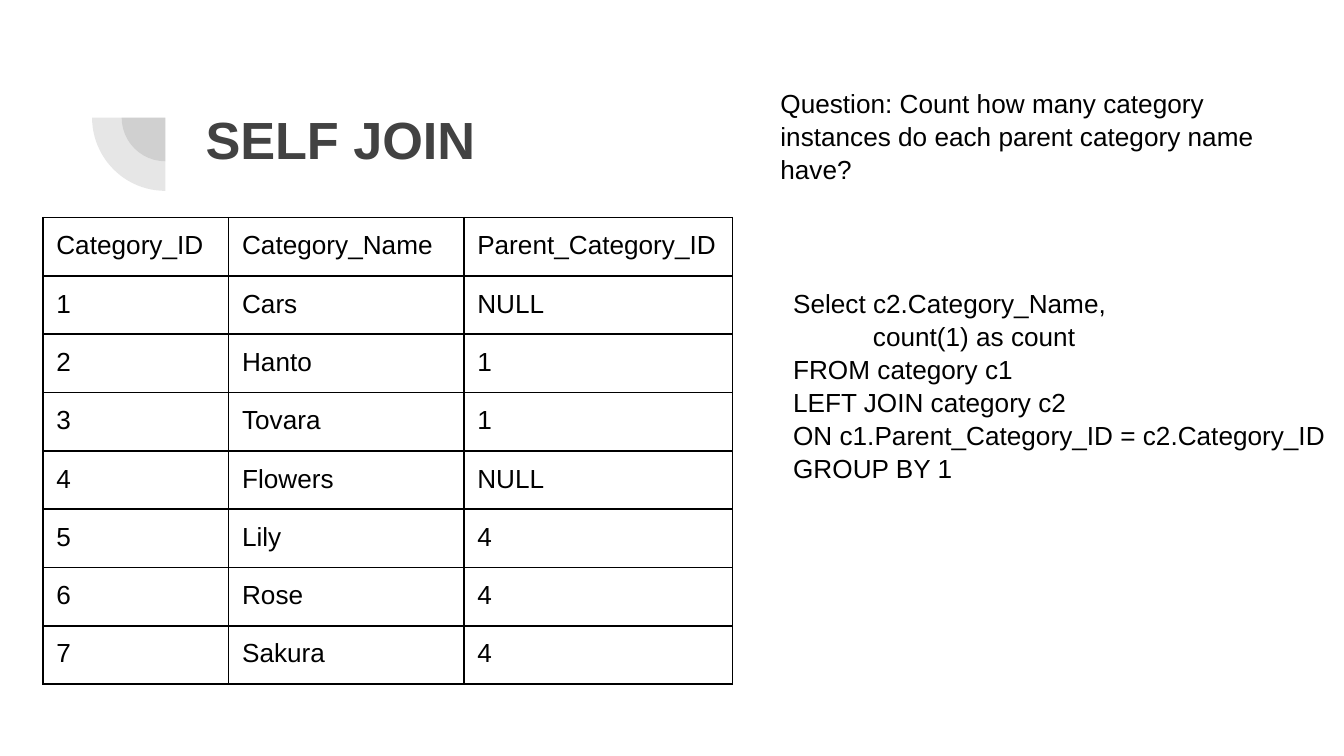
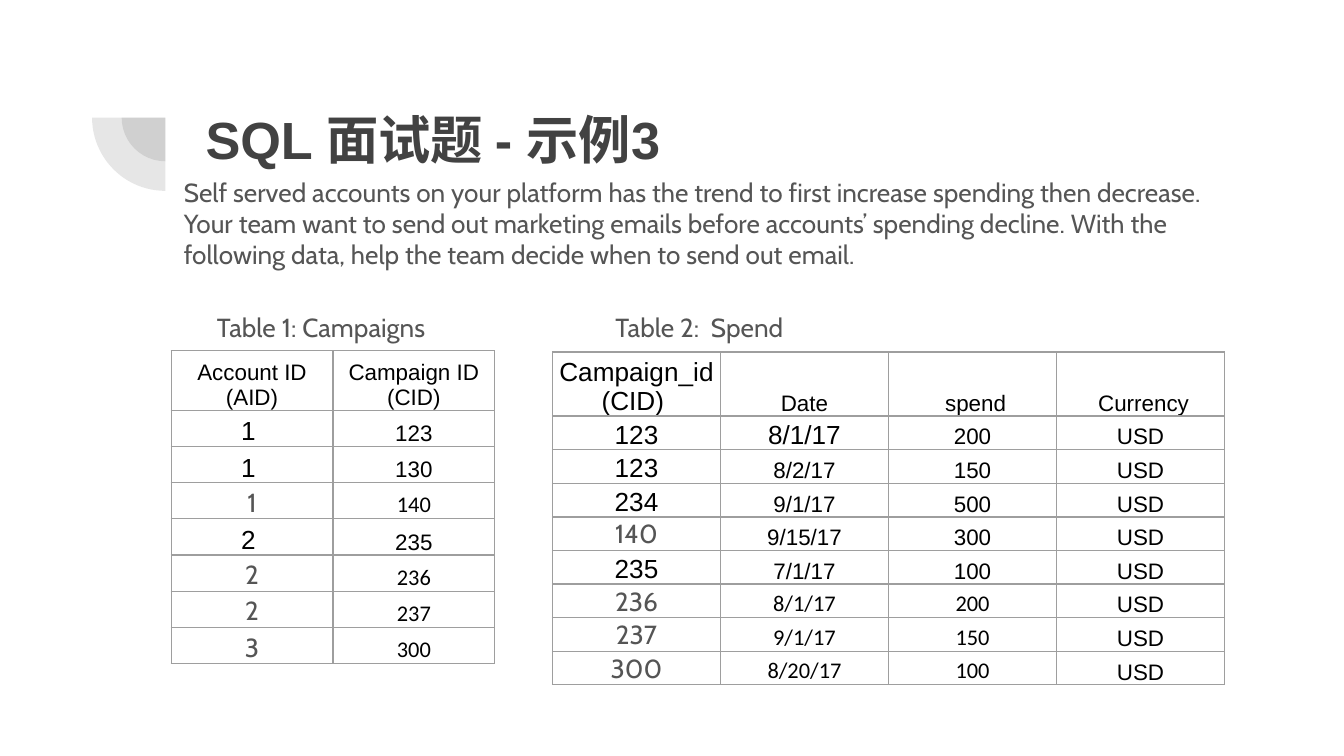
from dataclasses import dataclass

from lxml.etree import SubElement
from pptx import Presentation
from pptx.dml.color import RGBColor
from pptx.enum.shapes import MSO_SHAPE
from pptx.enum.text import MSO_ANCHOR, PP_ALIGN
from pptx.oxml.ns import qn
from pptx.slide import Slide
from pptx.table import _Cell
from pptx.text.text import TextFrame
from pptx.util import Pt

DARK, GREY, BLACK, RULE = "424242", "555555", "000000", "9E9E9E"


@dataclass(frozen=True)
class TextStyle:
    font: str
    size: float
    color: str
    bold: bool = False
    line_spacing: float | None = None


@dataclass(frozen=True)
class Box:
    left: float
    top: float
    width: float
    height: float
    inset_x: float = 7.2
    inset_y: float = 3.6
    wrap: bool = True


@dataclass(frozen=True)
class TableLook:
    border: str
    border_width: float
    insets: tuple[float, float, float, float]  # left, top, right, bottom
    align: PP_ALIGN
    anchor: MSO_ANCHOR


@dataclass(frozen=True)
class Row:
    values: tuple[str, ...]
    styles: tuple[TextStyle, ...]


TITLE = TextStyle("Arial", 28, DARK, bold=True, line_spacing=1.1)
PLAIN = TextStyle("Arial", 14, BLACK, line_spacing=1.05)
NOTE = TextStyle("Cabin", 14, GREY)
ARIAL_14 = TextStyle("Arial", 14, BLACK)
ARIAL_12 = TextStyle("Arial", 12, BLACK)
CALIBRI_12 = TextStyle("Calibri", 12, BLACK)

GRID = TableLook(BLACK, 1, (7.2, 7.2, 7.2, 7.2), PP_ALIGN.LEFT, MSO_ANCHOR.TOP)
SHEET = TableLook(RULE, 0.75, (0.7, 0.7, 0.7, 0), PP_ALIGN.CENTER, MSO_ANCHOR.BOTTOM)

CATEGORIES = (
    ("Category_ID", "Category_Name", "Parent_Category_ID"),
    ("1", "Cars", "NULL"),
    ("2", "Hanto", "1"),
    ("3", "Tovara", "1"),
    ("4", "Flowers", "NULL"),
    ("5", "Lily", "4"),
    ("6", "Rose", "4"),
    ("7", "Sakura", "4"),
)

QUERY = """Select c2.Category_Name,
           count(1) as count
FROM category c1
LEFT JOIN category c2
ON c1.Parent_Category_ID = c2.Category_ID
GROUP BY 1"""

FIRST_CAMPAIGN = (ARIAL_14, ARIAL_12)
ADDED_CAMPAIGN = (NOTE, CALIBRI_12)
CAMPAIGNS = (
    Row(("Account ID (AID)", "Campaign ID (CID)"), (ARIAL_12, ARIAL_12)),
    Row(("1 ", "123"), FIRST_CAMPAIGN),
    Row(("1 ", "130"), FIRST_CAMPAIGN),
    Row(("1", "140"), ADDED_CAMPAIGN),
    Row(("2 ", "235"), FIRST_CAMPAIGN),
    Row(("2", "236"), ADDED_CAMPAIGN),
    Row(("2", "237"), ADDED_CAMPAIGN),
    Row(("3", "300"), ADDED_CAMPAIGN),
)

FIRST_SPEND = (ARIAL_14, ARIAL_12, ARIAL_12, ARIAL_12)
ADDED_SPEND = (NOTE, CALIBRI_12, CALIBRI_12, ARIAL_12)
SPEND = (
    Row(("Campaign_id (CID) ", " Date ", " spend", " Currency"), FIRST_SPEND),
    Row(("123", "8/1/17", "200", "USD"), (ARIAL_14, ARIAL_14, ARIAL_12, ARIAL_12)),
    Row(("123", "8/2/17", "150", "USD"), FIRST_SPEND),
    Row(("234", "9/1/17", "500", "USD"), FIRST_SPEND),
    Row(("140", "9/15/17", "300", "USD"), (NOTE, ARIAL_12, ARIAL_12, ARIAL_12)),
    Row(("235", "7/1/17", "100", "USD"), FIRST_SPEND),
    Row(("236", "8/1/17", "200", "USD"), ADDED_SPEND),
    Row(("237", "9/1/17", "150", "USD"), ADDED_SPEND),
    Row(("300", "8/20/17", "100", "USD"), ADDED_SPEND),
)


def rgb(color: str) -> RGBColor:
    return RGBColor.from_string(color)


def write(frame: TextFrame, text: str, style: TextStyle, align: PP_ALIGN = PP_ALIGN.LEFT) -> None:
    frame.text = text
    for paragraph in frame.paragraphs:
        paragraph.alignment = align
        if style.line_spacing:
            paragraph.line_spacing = style.line_spacing
        font = paragraph.font
        font.name, font.size, font.bold = style.font, Pt(style.size), style.bold
        font.color.rgb = rgb(style.color)


def add_text(slide: Slide, box: Box, text: str, style: TextStyle) -> None:
    shape = slide.shapes.add_textbox(Pt(box.left), Pt(box.top), Pt(box.width), Pt(box.height))
    frame = shape.text_frame
    frame.word_wrap = box.wrap
    frame.margin_left = frame.margin_right = Pt(box.inset_x)
    frame.margin_top = frame.margin_bottom = Pt(box.inset_y)
    write(frame, text, style)


def add_quarter_disc(slide: Slide, center_x: float, center_y: float, diameter: float) -> None:
    """Draw the translucent lower left quarter of a disc."""
    shape = slide.shapes.add_shape(
        MSO_SHAPE.PIE, Pt(center_x - diameter / 2), Pt(center_y - diameter / 2), Pt(diameter), Pt(diameter)
    )
    shape.adjustments[0], shape.adjustments[1] = 108, 162
    shape.rotation = 270
    shape.shadow.inherit = False
    shape.line.fill.background()
    shape.fill.solid()
    shape.fill.fore_color.rgb = rgb(DARK)
    color = next(shape.element.spPr.iter(qn("a:srgbClr")))
    SubElement(color, qn("a:alpha"), val="13000")


def add_titled_slide(presentation: Presentation, title: str) -> Slide:
    slide = presentation.slides.add_slide(presentation.slide_layouts[6])
    for diameter in (46.8, 78.5):
        add_quarter_disc(slide, 88.6, 63, diameter)
    add_text(slide, Box(103, 46.8, 553.7, 42, inset_y=7.2), title, TITLE)
    return slide


def style_cell(cell: _Cell, look: TableLook) -> None:
    cell.margin_left, cell.margin_top, cell.margin_right, cell.margin_bottom = map(Pt, look.insets)
    cell.vertical_anchor = look.anchor
    properties = cell._tc.get_or_add_tcPr()
    for side in ("lnL", "lnR", "lnT", "lnB"):
        line = SubElement(properties, qn(f"a:{side}"), w=str(Pt(look.border_width)))
        SubElement(SubElement(line, qn("a:solidFill")), qn("a:srgbClr"), val=look.border)
    cell.fill.background()


def add_data_table(
    slide: Slide,
    left: float,
    top: float,
    widths: tuple[float, ...],
    header_height: float,
    row_height: float,
    rows: tuple[Row, ...],
    look: TableLook,
) -> None:
    height = header_height + row_height * (len(rows) - 1)
    frame = slide.shapes.add_table(len(rows), len(widths), Pt(left), Pt(top), Pt(sum(widths)), Pt(height))
    table = frame.table
    table.first_row = table.horz_banding = False
    for column, width in zip(table.columns, widths):
        column.width = Pt(width)
    for index, row in enumerate(rows):
        table.rows[index].height = Pt(row_height if index else header_height)
        for column_index, (value, style) in enumerate(zip(row.values, row.styles)):
            cell = table.cell(index, column_index)
            style_cell(cell, look)
            write(cell.text_frame, value, style, look.align)


def build_self_join(presentation: Presentation) -> None:
    slide = add_titled_slide(presentation, "SELF JOIN")
    question = "Question: Count how many category instances do each parent category name have?"
    add_text(slide, Box(411, 39, 292, 54, inset_y=7.2), question, PLAIN)
    rows = tuple(Row(values, (ARIAL_14,) * len(values)) for values in CATEGORIES)
    add_data_table(slide, 23, 116.6, (99.5, 126, 144), 30.1, 30.1, rows, GRID)
    add_text(slide, Box(417.8, 149.8, 309, 126, wrap=False), QUERY, PLAIN)


def build_interview_example(presentation: Presentation) -> None:
    slide = add_titled_slide(presentation, "SQL 面试题 - 示例3")
    add_data_table(slide, 91.7, 187.9, (86.7, 86.7), 31.9, 19.4, CAMPAIGNS, SHEET)
    add_text(slide, Box(109.2, 163.4, 139, 24.5, wrap=False), "Table 1: Campaigns", NOTE)
    add_text(slide, Box(322.6, 163.4, 114, 24.5, wrap=False), "Table 2:  Spend", NOTE)
    add_data_table(slide, 296, 188.6, (90, 90, 90, 90), 34.3, 18, SPEND, SHEET)
    task = (
        "Self served accounts on your platform has the trend to first increase spending then decrease. "
        "Your team want to send out marketing emails before accounts’ spending decline. "
        "With the following data, help the team decide when to send out email."
    )
    add_text(slide, Box(91.4, 90.7, 564.5, 58.3), task, NOTE)


def main() -> None:
    presentation = Presentation()
    presentation.slide_width, presentation.slide_height = Pt(720), Pt(405)
    build_self_join(presentation)
    build_interview_example(presentation)
    presentation.save("out.pptx")


if __name__ == "__main__":
    main()
